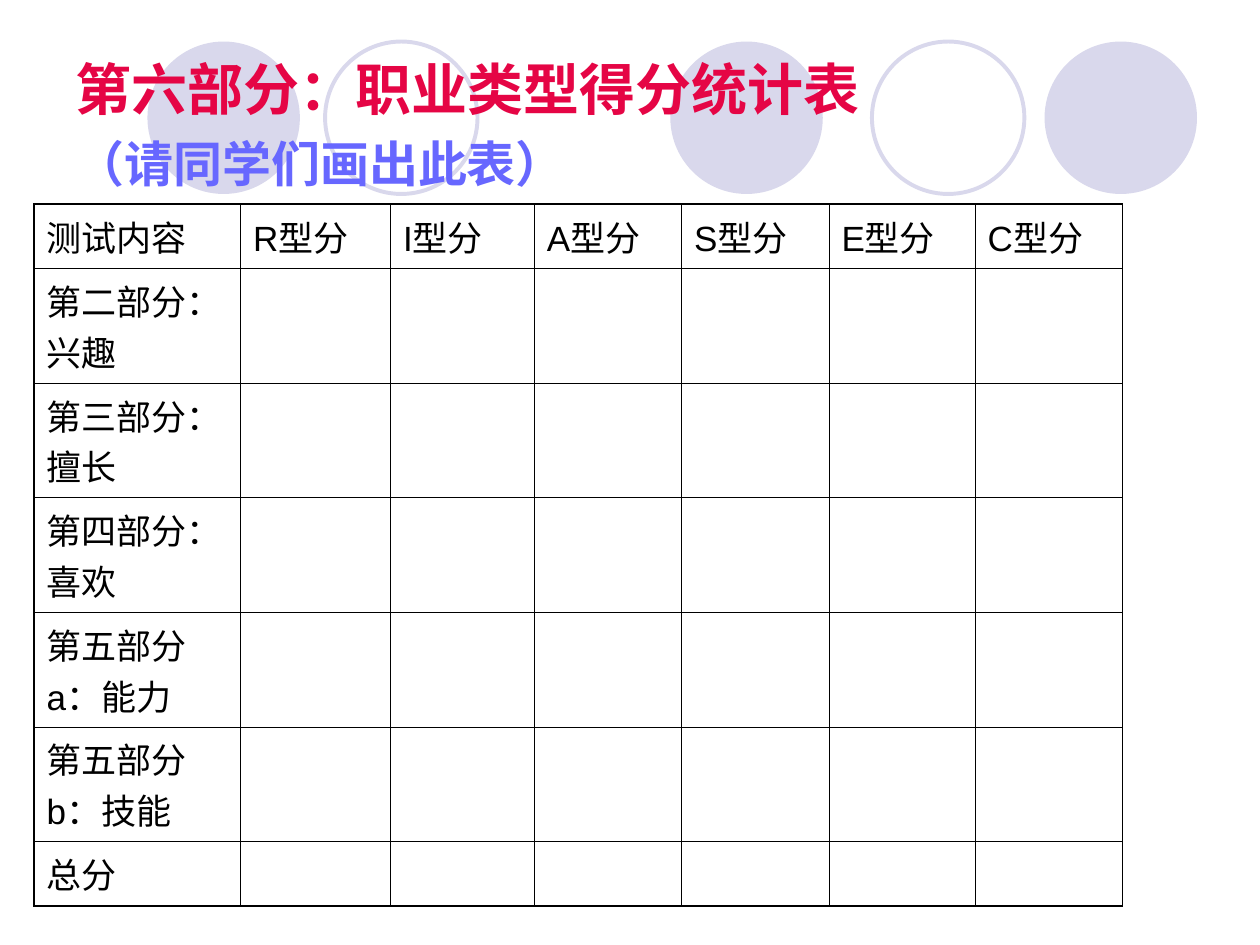
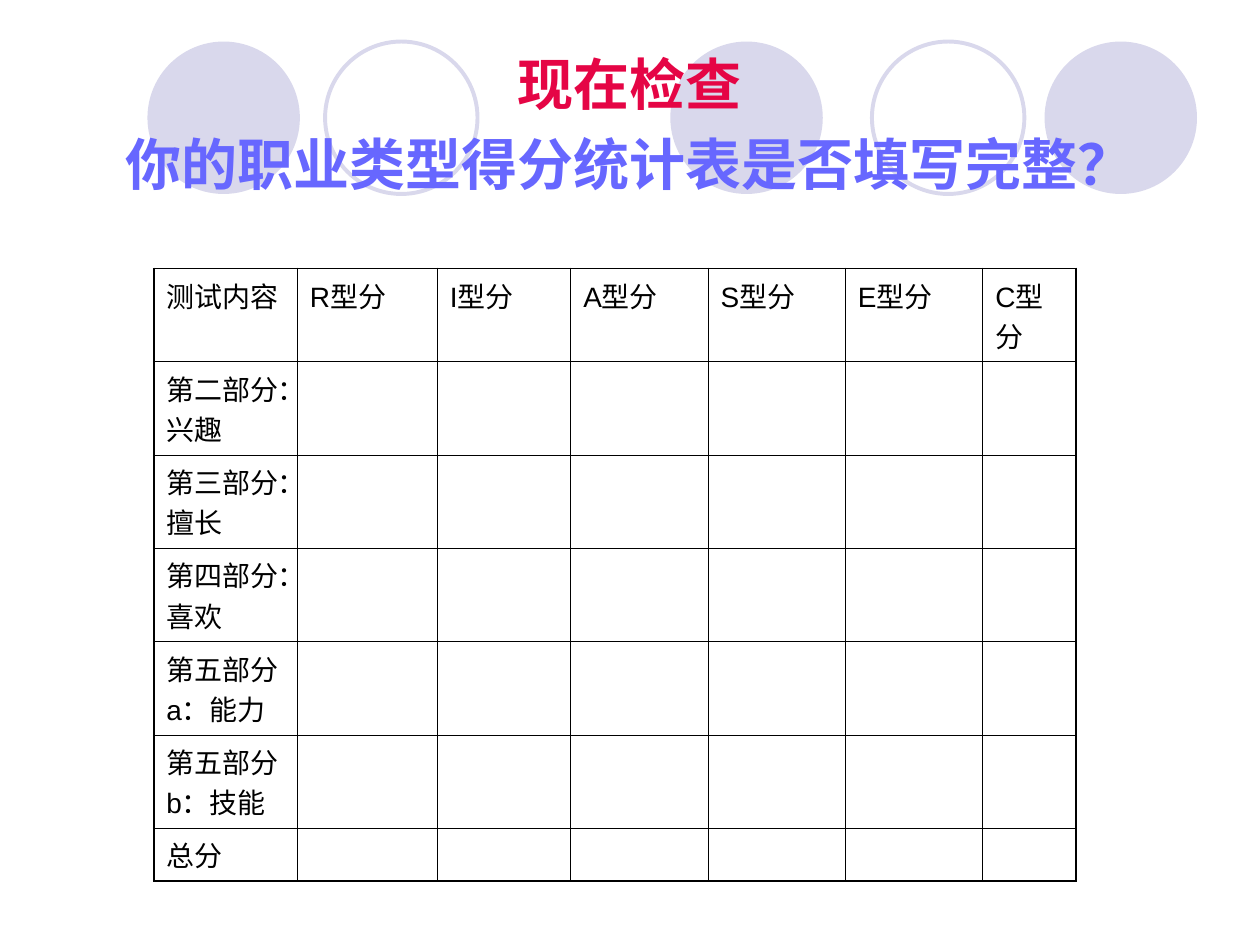
from lxml import etree
from pptx import Presentation
from pptx.dml.color import RGBColor
from pptx.enum.shapes import MSO_SHAPE
from pptx.enum.text import MSO_ANCHOR, MSO_AUTO_SIZE, PP_ALIGN
from pptx.oxml.ns import qn
from pptx.util import Inches, Pt

OVAL = MSO_SHAPE.OVAL
MIDDLE, NO_FIT = MSO_ANCHOR.MIDDLE, MSO_AUTO_SIZE.NONE
LEFT, CENTER = PP_ALIGN.LEFT, PP_ALIGN.CENTER

FONT = "Arial"
COLORS = {
    "circle": "D9D8EC",
    "heading": "E50545",
    "subheading": "6767FF",
    "text": "000000",
    "border": "000000",
}
TITLE_ONLY_LAYOUT = 5
TITLE_BOX = (0.5, 0.3, 9, 1.25)
CIRCLE_TOP, CIRCLE_SIZE = 0.33, 1.21
FILLED_CIRCLES = (5.32, 8.29, 1.17)
OUTLINED_CIRCLES = (6.92, 2.58)
INNER_BORDER, OUTER_BORDER = Pt(0.45), Pt(1.08)

HEADERS = ["测试内容"] + [f"{letter}型分" for letter in "RIASEC"]
ROW_LABELS = [
    "第二部分：兴趣",
    "第三部分：擅长",
    "第四部分：喜欢",
    "第五部分a：能力",
    "第五部分b：技能",
    "总分",
]


def color(name):
    return RGBColor.from_string(COLORS[name])


def add_run(paragraph, text, size, color_name, bold=False):
    run = paragraph.add_run()
    run.text = text
    run.font.name = FONT
    run.font.size = Pt(size)
    run.font.bold = bold
    run.font.color.rgb = color(color_name)


def add_circle_band(slide):
    band = slide.shapes.add_group_shape()
    for left in FILLED_CIRCLES + OUTLINED_CIRCLES:
        circle = band.shapes.add_shape(
            OVAL, Inches(left), Inches(CIRCLE_TOP), Inches(CIRCLE_SIZE), Inches(CIRCLE_SIZE))
        circle.shadow.inherit = False
        if left in FILLED_CIRCLES:
            circle.fill.solid()
            circle.fill.fore_color.rgb = color("circle")
            circle.line.fill.background()
        else:
            circle.fill.background()
            circle.line.color.rgb = color("circle")
            circle.line.width = Pt(2.25)


def fill_title(slide, heading, subheading, subheading_size, alignment):
    """Write a two-line title and bring it in front of the circle band."""
    title = slide.shapes.title
    title.left, title.top, title.width, title.height = map(Inches, TITLE_BOX)
    frame = title.text_frame
    frame.word_wrap = True
    frame.auto_size = NO_FIT
    frame.vertical_anchor = MIDDLE
    paragraph = frame.paragraphs[0]
    paragraph.alignment = alignment
    paragraph.line_spacing = 1.2
    add_run(paragraph, heading, 32, "heading", bold=True)
    paragraph.add_line_break()
    add_run(paragraph, subheading, subheading_size, "subheading", bold=True)
    slide.shapes._spTree.append(title._element)


def set_borders(cell, outer_sides):
    """Draw all four borders, heavier on the sides at the table edge."""
    properties = cell._tc.get_or_add_tcPr()
    for position, side in enumerate("LRTB"):
        width = OUTER_BORDER if side in outer_sides else INNER_BORDER
        line = etree.Element(qn(f"a:ln{side}"), w=str(int(width)))
        fill = etree.SubElement(line, qn("a:solidFill"))
        etree.SubElement(fill, qn("a:srgbClr"), val=COLORS["border"])
        properties.insert(position, line)


def add_score_table(slide, left, top, column_widths, row_heights, size):
    rows, columns = len(row_heights), len(column_widths)
    table = slide.shapes.add_table(
        rows, columns, Inches(left), Inches(top),
        Inches(sum(column_widths)), Inches(sum(row_heights))).table
    table.first_row = table.horz_banding = False
    for column, width in zip(table.columns, column_widths):
        column.width = Inches(width)
    for row, height in zip(table.rows, row_heights):
        row.height = Inches(height)

    contents = [HEADERS] + [[label] + [""] * (columns - 1) for label in ROW_LABELS]
    for row_index, texts in enumerate(contents):
        for column_index, text in enumerate(texts):
            cell = table.cell(row_index, column_index)
            cell.fill.background()
            edges = {
                "L": column_index == 0,
                "R": column_index == columns - 1,
                "T": row_index == 0,
                "B": row_index == rows - 1,
            }
            set_borders(cell, [side for side, is_outer in edges.items() if is_outer])
            if text:
                paragraph = cell.text_frame.paragraphs[0]
                paragraph.space_before = Pt(size / 4)
                add_run(paragraph, text, size, "text")


def add_score_slide(presentation, title, table):
    slide = presentation.slides.add_slide(presentation.slide_layouts[TITLE_ONLY_LAYOUT])
    add_circle_band(slide)
    fill_title(slide, **title)
    add_score_table(slide, **table)


def main():
    presentation = Presentation()
    presentation.slide_width, presentation.slide_height = Inches(10), Inches(7.5)
    add_score_slide(
        presentation,
        title=dict(heading="第六部分：职业类型得分统计表", subheading="（请同学们画出此表）",
                   subheading_size=28, alignment=LEFT),
        table=dict(left=0.27, top=1.62, size=20,
                   column_widths=[1.64, 1.19, 1.14, 1.17, 1.17, 1.16, 1.17],
                   row_heights=[0.51] + [0.91] * 5 + [0.51]))
    add_score_slide(
        presentation,
        title=dict(heading="现在检查", subheading="你的职业类型得分统计表是否填写完整？",
                   subheading_size=32, alignment=CENTER),
        table=dict(left=1.22, top=2.13, size=16,
                   column_widths=[1.14, 1.11, 1.06, 1.09, 1.09, 1.09, 0.74],
                   row_heights=[0.74] * 6 + [0.42]))
    presentation.save("out.pptx")


if __name__ == "__main__":
    main()
